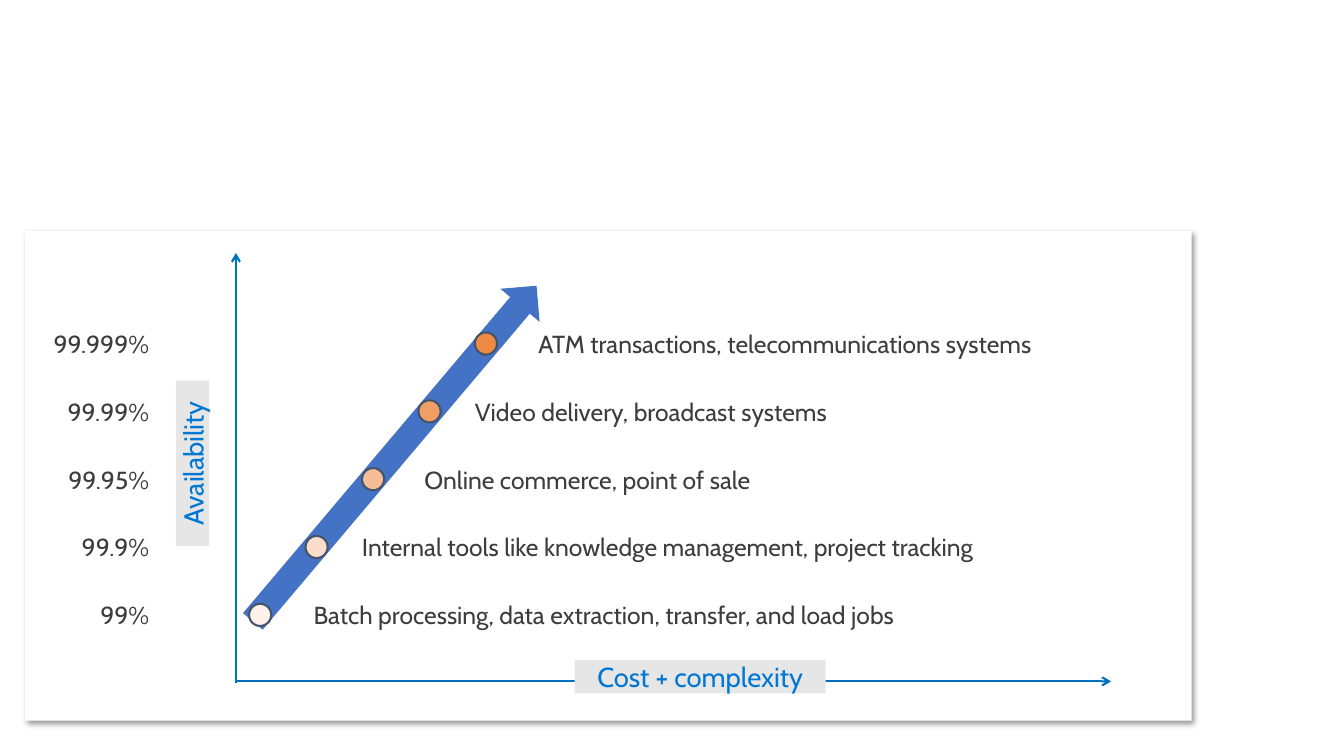
from lxml.etree import SubElement
from pptx import Presentation
from pptx.dml.color import RGBColor
from pptx.enum.shapes import MSO_CONNECTOR, MSO_SHAPE
from pptx.enum.text import MSO_ANCHOR, PP_ALIGN
from pptx.oxml import parse_xml
from pptx.oxml.ns import nsdecls, qn
from pptx.util import Inches, Pt


def rgb(color):
    return RGBColor.from_string(color)


def put_text(sp, text, size, color, align):
    tf = sp.text_frame
    tf.word_wrap = True
    tf.margin_left = tf.margin_right = tf.margin_top = tf.margin_bottom = 0
    tf.vertical_anchor = MSO_ANCHOR.MIDDLE
    p = tf.paragraphs[0]
    p.alignment = align
    r = p.add_run()
    r.text = text
    r.font.name = "Cabin"
    r.font.size = Pt(size)
    r.font.color.rgb = rgb(color)


prs = Presentation()
prs.slide_width, prs.slide_height = Inches(13.33), Inches(7.5)
s = prs.slides.add_slide(prs.slide_layouts[6])

# White panel with a soft shadow
panel = s.shapes.add_shape(MSO_SHAPE.RECTANGLE, Inches(0.25), Inches(2.29),
                           Inches(11.57), Inches(4.86))
panel.fill.solid()
panel.fill.fore_color.rgb = rgb("FFFFFF")
panel.line.fill.background()
panel._element.spPr.append(parse_xml(
    f'<a:effectLst {nsdecls("a")}>'
    '<a:outerShdw blurRad="50800" dist="38100" dir="2700000" algn="tl" rotWithShape="0">'
    '<a:srgbClr val="000000"><a:alpha val="40000"/></a:srgbClr>'
    '</a:outerShdw></a:effectLst>'))

# Axes
for x1, y1, x2, y2 in [(2.34, 6.78, 2.34, 2.51), (2.34, 6.76, 11.02, 6.76)]:
    axis = s.shapes.add_connector(MSO_CONNECTOR.STRAIGHT, Inches(x1), Inches(y1),
                                  Inches(x2), Inches(y2))
    axis.line.color.rgb = rgb("0070C0")
    axis.line.width = Pt(1.5)
    SubElement(axis.line._get_or_add_ln(), qn("a:tailEnd"), type="arrow")
    SubElement(axis._element.spPr, qn("a:effectLst"))

# Axis titles
for title, x, y, w, rotation in [("Cost + complexity", 5.7, 6.55, 2.49, 0),
                                 ("Availability", 1.09, 4.43, 1.64, 270)]:
    sp = s.shapes.add_shape(MSO_SHAPE.RECTANGLE, Inches(x), Inches(y), Inches(w), Inches(0.33))
    sp.rotation = rotation
    sp.shadow.inherit = False
    sp.fill.solid()
    sp.fill.fore_color.rgb = rgb("E7E6E6")
    sp.line.fill.background()
    put_text(sp, title, 19.6, "0078D3", PP_ALIGN.CENTER)

# Rising arrow
arrow = s.shapes.add_shape(MSO_SHAPE.UP_ARROW, Inches(3.66), Inches(2.32),
                           Inches(0.51), Inches(4.36))
arrow.rotation = 40.2
arrow.shadow.inherit = False
arrow.fill.solid()
arrow.fill.fore_color.rgb = rgb("4472C4")
arrow.line.fill.background()

# Availability levels, from the lowest up: percentage, dot and example
levels = [
    ("99%", "FDF2EA", 3.11, "Batch processing, data extraction, transfer, and load jobs"),
    ("99.9%", "FADECB", 3.59, "Internal tools like knowledge management, project tracking"),
    ("99.95%", "F6BE98", 4.21, "Online commerce, point of sale"),
    ("99.99%", "F19E65", 4.71, "Video delivery, broadcast systems"),
    ("99.999%", "EF8A46", 5.34, "ATM transactions, telecommunications systems"),
]
for i, (percent, color, x, example) in enumerate(levels):
    y = 5.95 - 0.673 * i
    dot = s.shapes.add_shape(MSO_SHAPE.OVAL, Inches(2.47 + 0.56 * i), Inches(y + 0.04),
                             Inches(0.22), Inches(0.22))
    dot.shadow.inherit = False
    dot.fill.solid()
    dot.fill.fore_color.rgb = rgb(color)
    dot.line.color.rgb = rgb("44546A")
    dot.line.width = Pt(1.5)
    for text, left, width, align in [(percent, 0.48, 1, PP_ALIGN.RIGHT),
                                     (example, x, 6.4, PP_ALIGN.LEFT)]:
        tb = s.shapes.add_textbox(Inches(left), Inches(y), Inches(width), Inches(0.3))
        put_text(tb, text, 17.6, "3C3C41", align)

prs.save("out.pptx")
